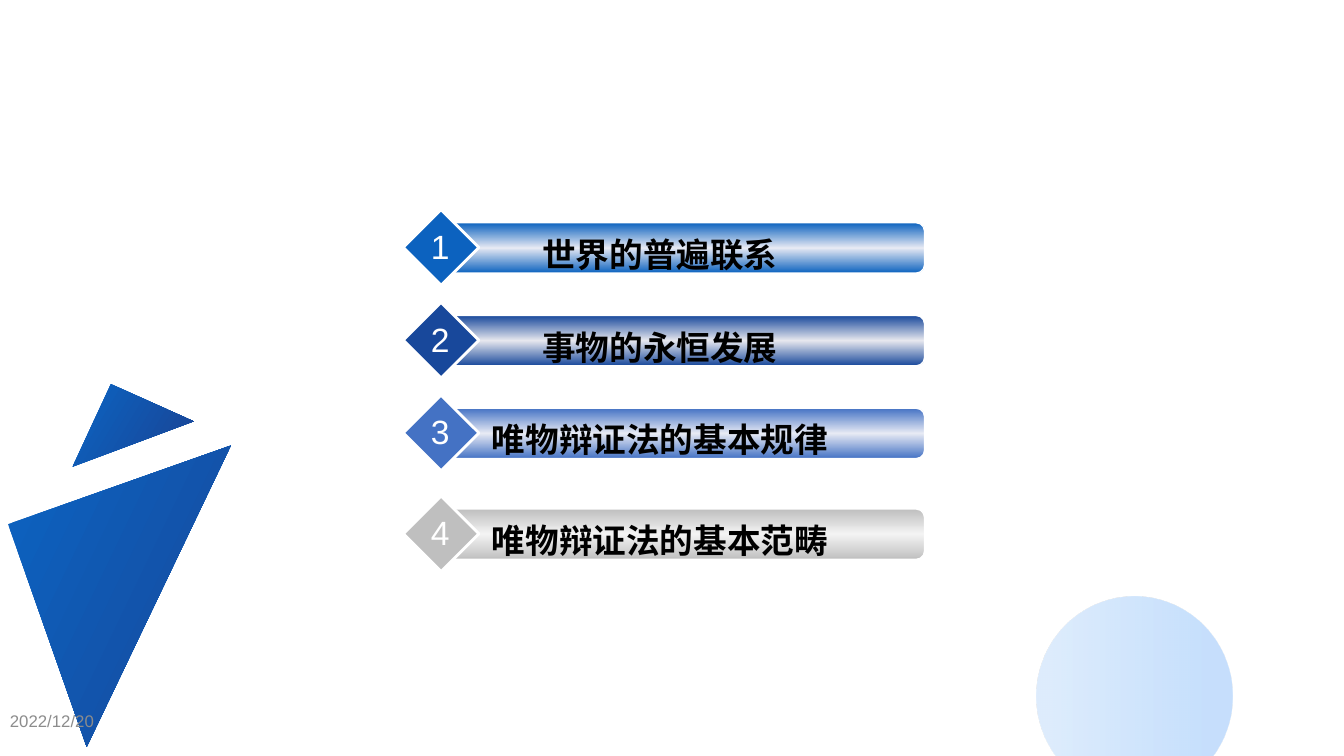
"""Build the agenda slide on the four topics of materialist dialectics."""
from dataclasses import dataclass

import lxml.etree
import pptx
import pptx.dml.color
import pptx.enum.shapes
import pptx.enum.text
import pptx.oxml.ns
import pptx.util

Inches = pptx.util.Inches
Pt = pptx.util.Pt
MSO_SHAPE = pptx.enum.shapes.MSO_SHAPE
PP_ALIGN = pptx.enum.text.PP_ALIGN
MSO_ANCHOR = pptx.enum.text.MSO_ANCHOR
qn = pptx.oxml.ns.qn


@dataclass(frozen=True)
class Topic:
    label: str
    top: float
    color: str
    sheen: str


@dataclass(frozen=True)
class Triangle:
    corners: tuple[tuple[float, float], ...]
    stops: tuple[tuple[int, str], ...]
    angle: float


TOPICS = (
    Topic("世界的普遍联系", 2.08, "0C62BF", "E6E9F3"),
    Topic("事物的永恒发展", 3.0, "18489B", "E6E7EE"),
    Topic("唯物辩证法的基本规律", 3.92, "4472C4", "E7EAF4"),
    Topic("唯物辩证法的基本范畴", 4.92, "BFBFBF", "F3F3F3"),
)
TRIANGLES = (
    Triangle(((0.86, 7.41), (0.08, 5.2), (2.29, 4.42)),
             ((6, "0C62BF"), (100, "18489B")), 25.6),
    Triangle(((0.72, 4.63), (1.1, 3.81), (1.92, 4.18)),
             ((8, "0C62BF"), (85, "18489B")), 31),
)


def rgb(color: str) -> pptx.dml.color.RGBColor:
    """Turn a hex string into a colour."""
    return pptx.dml.color.RGBColor.from_string(color)


def set_gradient(shape, stops, angle: float = 0, opacity: int = 100) -> None:
    """Fill a shape with a linear gradient, its angle measured clockwise."""
    shape.fill.gradient()
    shape.fill.gradient_angle = -angle % 360
    stop_list = next(shape._element.spPr.iter(qn("a:gsLst")))
    for old_stop in list(stop_list):
        stop_list.remove(old_stop)
    for position, color in stops:
        stop = lxml.etree.SubElement(stop_list, qn("a:gs"), pos=str(position * 1000))
        tint = lxml.etree.SubElement(stop, qn("a:srgbClr"), val=color)
        if opacity < 100:
            lxml.etree.SubElement(tint, qn("a:alpha"), val=str(opacity * 1000))


def set_outline(shape, width: float = 0) -> None:
    """Give a shape a white outline, or none, and no shadow."""
    shape.shadow.inherit = False
    if width:
        shape.line.color.rgb = rgb("FFFFFF")
        shape.line.width = Pt(width)
    else:
        shape.line.fill.background()


def add_preset(slide, kind, left: float, top: float, width: float, height: float,
               outline: float = 0):
    """Add a preset shape placed in inches."""
    shape = slide.shapes.add_shape(
        kind, Inches(left), Inches(top), Inches(width), Inches(height))
    set_outline(shape, outline)
    return shape


def add_text(slide, text: str, left: float, top: float, width: float, height: float, *,
             size: float = 24, color: str = "000000", bold: bool = False,
             align=PP_ALIGN.CENTER, anchor=MSO_ANCHOR.TOP, wrap: bool = True) -> None:
    """Add a formatted one-line text box placed in inches."""
    box = slide.shapes.add_textbox(
        Inches(left), Inches(top), Inches(width), Inches(height))
    frame = box.text_frame
    frame.word_wrap = wrap
    frame.vertical_anchor = anchor
    paragraph = frame.paragraphs[0]
    paragraph.alignment = align
    run = paragraph.add_run()
    run.text = text
    run.font.name = "Arial"
    run.font.size = Pt(size)
    run.font.bold = bold
    run.font.color.rgb = rgb(color)


def add_triangle(slide, triangle: Triangle) -> None:
    """Draw one decorative triangle."""
    start, *others = [(Inches(x), Inches(y)) for x, y in triangle.corners]
    builder = slide.shapes.build_freeform(*start)
    builder.add_line_segments(others, close=True)
    shape = builder.convert_to_shape()
    set_outline(shape)
    set_gradient(shape, triangle.stops, triangle.angle)


def add_topic(slide, number: int, topic: Topic) -> None:
    """Draw one numbered topic bar."""
    bar = add_preset(slide, MSO_SHAPE.ROUNDED_RECTANGLE,
                     4.42, topic.top + 0.13, 4.75, 0.5, outline=1)
    set_gradient(bar, ((0, topic.color), (50, topic.sheen), (100, topic.color)), 90)
    diamond = add_preset(slide, MSO_SHAPE.DIAMOND, 4, topic.top, 0.75, 0.75, outline=2)
    diamond.fill.solid()
    diamond.fill.fore_color.rgb = rgb(topic.color)
    add_text(slide, topic.label, 4.67, topic.top + 0.19, 3.75, 0.5, bold=True)
    add_text(slide, str(number), 4.17, topic.top + 0.11, 0.39, 0.5,
             color="FFFFFF", wrap=False)


def main() -> None:
    """Build and save the slide."""
    deck = pptx.Presentation()
    deck.slide_width, deck.slide_height = Inches(13.33), Inches(7.5)
    slide = deck.slides.add_slide(deck.slide_layouts[6])
    circle = add_preset(slide, MSO_SHAPE.OVAL, 10.28, 5.92, 1.94, 1.97)
    set_gradient(circle, ((8, "8FC1FA"), (85, "4598F7")), opacity=30)
    for triangle in TRIANGLES:
        add_triangle(slide, triangle)
    add_text(slide, "2022/12/20", 0, 6.95, 2.25, 0.4, size=12, color="8C8C8C",
             align=PP_ALIGN.LEFT, anchor=MSO_ANCHOR.MIDDLE)
    for number, topic in enumerate(TOPICS, start=1):
        add_topic(slide, number, topic)
    deck.save("out.pptx")


if __name__ == "__main__":
    main()
